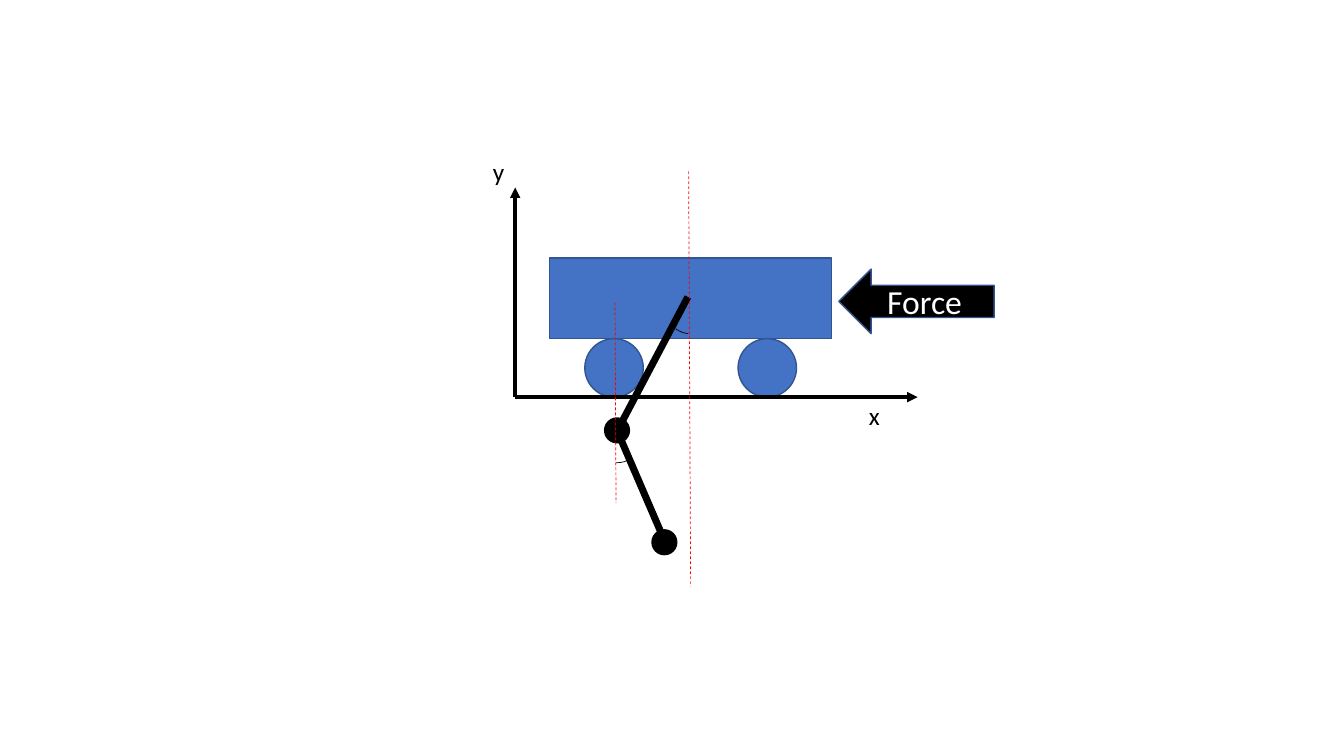
from dataclasses import dataclass

from lxml.etree import SubElement
from pptx import Presentation
from pptx.dml.color import RGBColor
from pptx.enum.dml import MSO_LINE_DASH_STYLE as Dash
from pptx.enum.shapes import MSO_CONNECTOR as Connector, MSO_SHAPE as Shape
from pptx.enum.text import MSO_ANCHOR as Anchor, MSO_AUTO_SIZE as AutoSize, PP_ALIGN as Align
from pptx.oxml.ns import qn
from pptx.util import Emu, Pt

EMU_PER_PX = 9144


def px(*lengths):
    return [Emu(length * EMU_PER_PX) for length in lengths]


@dataclass(frozen=True)
class Theme:
    font: str = "Calibri"
    cart: str = "4472C4"
    outline: str = "325491"
    ink: str = "000000"
    paper: str = "FFFFFF"
    guide: str = "FF0000"
    axis_size: int = 18
    force_size: int = 24
    thin: float = 0.5
    edge: float = 1
    axis: float = 2.5


class Diagram:
    """Draws the elements of one diagram as a group on a slide."""

    def __init__(self, slide, theme):
        self.theme = theme
        self.shapes = slide.shapes.add_group_shape().shapes

    def stroke(self, line, color, width):
        line.color.rgb = RGBColor.from_string(color)
        line.width = Pt(width)

    def solid(self, kind, box, fill, outline=None, rotation=0):
        solid = self.shapes.add_shape(kind, *px(*box))
        solid.shadow.inherit = False
        solid.rotation = rotation
        solid.fill.solid()
        solid.fill.fore_color.rgb = RGBColor.from_string(fill)
        if outline:
            self.stroke(solid.line, outline, self.theme.edge)
        else:
            solid.line.fill.background()
        return solid

    def angle(self, box, start, end):
        arc = self.shapes.add_shape(Shape.ARC, *px(*box))
        arc.shadow.inherit = False
        arc.fill.background()
        arc.adjustments[0] = start * 0.6
        arc.adjustments[1] = end * 0.6
        self.stroke(arc.line, self.theme.ink, self.theme.thin)

    def connector(self, ends, color, width):
        connector = self.shapes.add_connector(Connector.STRAIGHT, *px(*ends))
        self.stroke(connector.line, color, width)
        SubElement(connector._element.spPr, qn("a:effectLst"))
        return connector

    def axis(self, ends):
        axis = self.connector(ends, self.theme.ink, self.theme.axis)
        outline = axis._element.spPr.find(qn("a:ln"))
        SubElement(outline, qn("a:tailEnd"), type="triangle")

    def guide(self, ends):
        guide = self.connector(ends, self.theme.guide, self.theme.thin)
        guide.line.dash_style = Dash.DASH

    def add_run(self, frame, text, size, color):
        run = frame.paragraphs[0].add_run()
        run.text = text
        run.font.name = self.theme.font
        run.font.size = Pt(size)
        run.font.color.rgb = RGBColor.from_string(color)

    def label(self, box, text):
        frame = self.shapes.add_textbox(*px(*box)).text_frame
        frame.word_wrap = False
        frame.auto_size = AutoSize.SHAPE_TO_FIT_TEXT
        self.add_run(frame, text, self.theme.axis_size, self.theme.ink)

    def force(self, box, text):
        arrow = self.solid(Shape.LEFT_ARROW, box, self.theme.ink, self.theme.outline)
        frame = arrow.text_frame
        frame.vertical_anchor = Anchor.MIDDLE
        frame.paragraphs[0].alignment = Align.CENTER
        self.add_run(frame, text, self.theme.force_size, self.theme.paper)


def main():
    theme = Theme()
    deck = Presentation()
    deck.slide_width, deck.slide_height = px(1333, 750)
    diagram = Diagram(deck.slides.add_slide(deck.slide_layouts[6]), theme)

    diagram.solid(Shape.RECTANGLE, (545, 256, 280, 80), theme.cart, theme.outline)
    for wheel_left in (732, 580):
        diagram.solid(Shape.OVAL, (wheel_left, 336, 58, 58), theme.cart, theme.outline)

    for axis_end in ((511, 186), (910, 394)):
        diagram.axis((511, 394, *axis_end))

    pendulum = (
        ((644, 286, 7, 149), 27.8, (599, 414)),
        ((632, 423, 7, 117), 336.7, (646, 525)),
    )
    for rod, tilt, bob in pendulum:
        diagram.solid(Shape.RECTANGLE, rod, theme.ink, rotation=tilt)
        diagram.solid(Shape.OVAL, (*bob, 26, 26), theme.ink)

    diagram.label((479, 150, 32, 40), "y")
    diagram.label((852, 392, 31, 40), "x")
    diagram.force((832, 267, 154, 64), "Force")

    diagram.angle((586, 397, 53, 62), 64.49, 92.49)
    diagram.angle((658, 269, 53, 62), 93.72, 119.02)
    diagram.guide((683, 170, 685, 582))
    diagram.guide((610, 300, 611, 499))

    deck.save("out.pptx")


if __name__ == "__main__":
    main()
